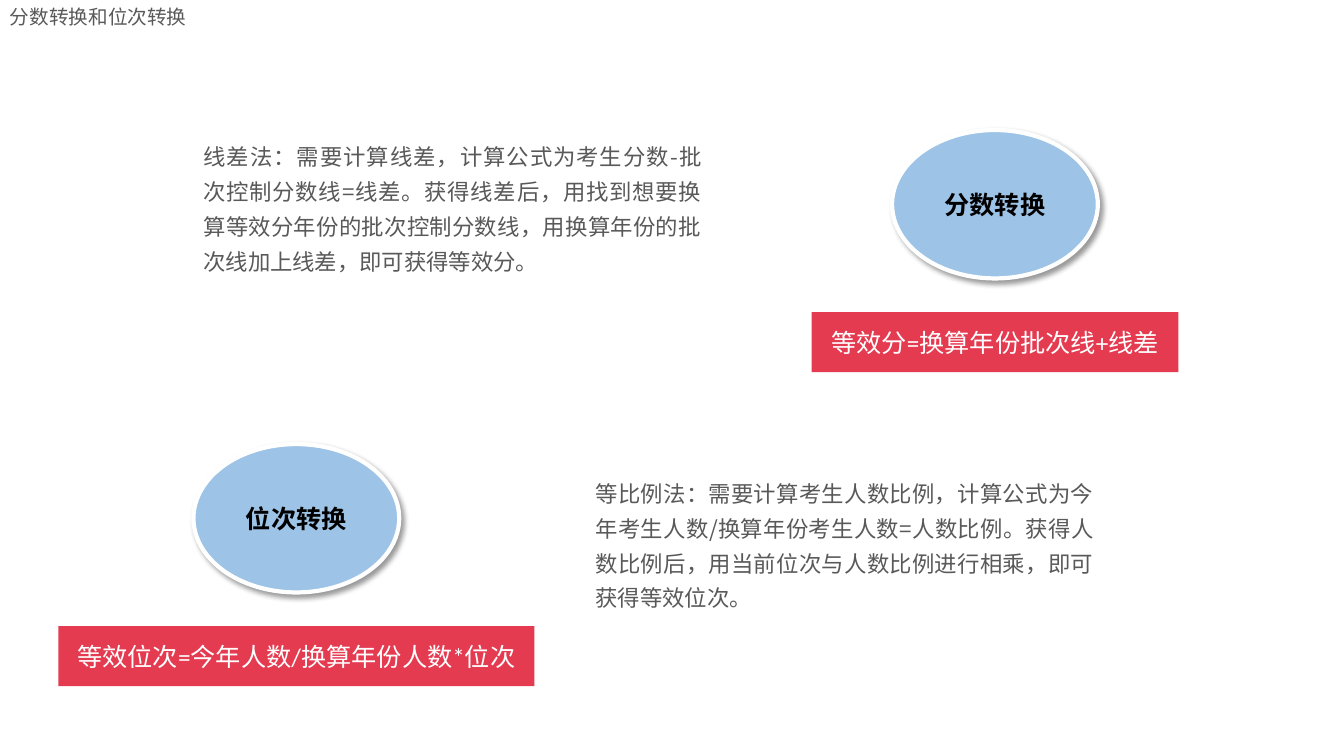
from lxml.etree import SubElement
from pptx import Presentation
from pptx.dml.color import RGBColor
from pptx.enum.shapes import MSO_SHAPE
from pptx.enum.text import MSO_ANCHOR, PP_ALIGN
from pptx.oxml.ns import qn
from pptx.util import Pt

TITLE = "分数转换和位次转换"
METHODS = [
    dict(
        name="分数转换", oval=(637.2, 92.9),
        formula="等效分=换算年份批次线+线差", bar_width=262,
        text="线差法：需要计算线差，计算公式为考生分数-批次控制分数线=线差。获得线差后，"
             "用找到想要换算等效分年份的批次控制分数线，用换算年份的批次线加上线差，即可获得等效分。",
        text_at=(138.2, 92.9),
    ),
    dict(
        name="位次转换", oval=(138.2, 317.2),
        formula="等效位次=今年人数/换算年份人数*位次", bar_width=340,
        text="等比例法：需要计算考生人数比例，计算公式为今年考生人数/换算年份考生人数=人数比例。"
             "获得人数比例后，用当前位次与人数比例进行相乘，即可获得等效位次。",
        text_at=(418.3, 333.4),
    ),
]
CJK = "Noto Sans CJK SC"
GREY, BLUE, RED, WHITE, BLACK = "595959", "9DC3E6", "E53B51", "FFFFFF", "000000"
OVAL_W, OVAL_H = 147, 106
BAR_H, BAR_DROP = 43, 130
TEXT_W, TEXT_H = 370, 106


def rgb(value):
    return RGBColor.from_string(value)


def write(s, text, size, color, font, align, bold=False, spacing=None):
    tf = s.text_frame
    tf.word_wrap = True
    p = tf.paragraphs[0]
    p.text = text
    p.alignment = align
    if spacing:
        p.line_spacing = spacing
    p.font.size = Pt(size)
    p.font.bold = bold
    p.font.color.rgb = rgb(color)
    p.font.name = font
    SubElement(p._p.pPr.find(qn("a:defRPr")), qn("a:ea"), typeface=CJK)


def add_text(x, y, w, h, text, size, align, spacing=None):
    s = slide.shapes.add_textbox(Pt(x), Pt(y), Pt(w), Pt(h))
    write(s, text, size, GREY, CJK, align, spacing=spacing)


def add_label(kind, x, y, w, h, fill, text, color, bold=False):
    s = slide.shapes.add_shape(kind, Pt(x), Pt(y), Pt(w), Pt(h))
    s.shadow.inherit = False
    s.fill.solid()
    s.fill.fore_color.rgb = rgb(fill)
    s.line.fill.background()
    s.text_frame.vertical_anchor = MSO_ANCHOR.MIDDLE
    write(s, text, 18, color, "Calibri", PP_ALIGN.CENTER, bold)
    return s


def add_rim_and_shadow(s):
    s.line.color.rgb = rgb(WHITE)
    s.line.width = Pt(3)
    effects = s._element.spPr.find(qn("a:effectLst"))
    shadow = SubElement(effects, qn("a:outerShdw"), blurRad=str(Pt(4)), dist=str(Pt(3)),
                        dir=str(45 * 60000), algn="tl", rotWithShape="0")
    tint = SubElement(shadow, qn("a:srgbClr"), val=BLACK)
    SubElement(tint, qn("a:alpha"), val="40000")


prs = Presentation()
prs.slide_width, prs.slide_height = Pt(960), Pt(540)
slide = prs.slides.add_slide(prs.slide_layouts[6])

add_text(0, 0, 300, 24.5, TITLE, 14, PP_ALIGN.LEFT)
for m in METHODS:
    x, y = m["oval"]
    add_text(*m["text_at"], TEXT_W, TEXT_H, m["text"], 16, PP_ALIGN.JUSTIFY, 1.3)
    oval = add_label(MSO_SHAPE.OVAL, x, y, OVAL_W, OVAL_H, BLUE, m["name"], BLACK, True)
    add_rim_and_shadow(oval)
    bar_x = x + (OVAL_W - m["bar_width"]) / 2
    add_label(MSO_SHAPE.RECTANGLE, bar_x, y + BAR_DROP, m["bar_width"], BAR_H, RED,
              m["formula"], WHITE)

prs.save("out.pptx")
